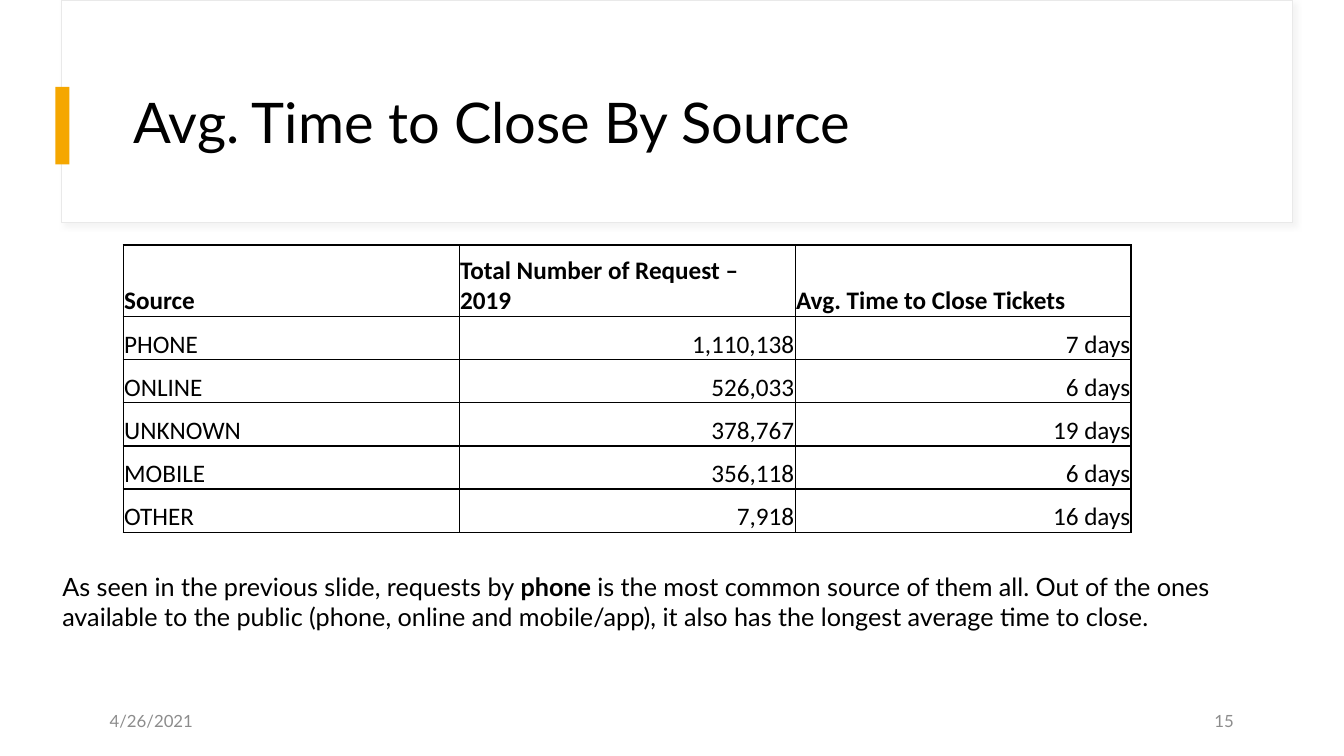
from dataclasses import dataclass

from lxml import etree
from pptx import Presentation
from pptx import util as u
from pptx.dml.color import RGBColor
from pptx.enum import shapes, text
from pptx.oxml import parse_xml
from pptx.oxml.ns import nsdecls, qn

Pt = u.Pt


@dataclass(frozen=True)
class Theme:
    ink: str = "000000"
    paper: str = "FFFFFF"
    accent: str = "F5A700"
    panel_line: str = "E9E9E9"
    panel_shadow: str = "D9D9D9"
    muted: str = "8C8C8C"
    font: str = "Lato"
    table_font: str = "Calibri"
    title_size: int = 40
    body_size: int = 18
    footer_size: int = 12


THEME = Theme()
LEFT, RIGHT = text.PP_ALIGN.LEFT, text.PP_ALIGN.RIGHT
TOP, MIDDLE, BOTTOM = (text.MSO_ANCHOR.TOP, text.MSO_ANCHOR.MIDDLE,
                       text.MSO_ANCHOR.BOTTOM)

TICKETS = [
    ("Source", "Total Number of Request – 2019", "Avg. Time to Close Tickets"),
    ("PHONE", "1,110,138", "7 days"),
    ("ONLINE", "526,033", "6 days"),
    ("UNKNOWN", "378,767", "19 days"),
    ("MOBILE", "356,118", "6 days"),
    ("OTHER", "7,918", "16 days"),
]
FINDING = [
    ("As seen in the previous slide, requests by ", False),
    ("phone ", True),
    ("is the most common source of them all. Out of the ones available to the "
     "public (phone, online and mobile/app), it also has the longest average "
     "time to close.", False),
]


def write(frame, runs, size, color=THEME.ink, font=THEME.font, align=LEFT):
    """Fill the first paragraph with (wording, bold) runs."""
    paragraph = frame.paragraphs[0]
    paragraph.alignment = align
    for wording, bold in runs:
        run = paragraph.add_run()
        run.text = wording
        run.font.name = font
        run.font.size = Pt(size)
        run.font.bold = bold
        run.font.color.rgb = RGBColor.from_string(color)
    return paragraph


def add_block(slide, box, fill, line=None):
    block = slide.shapes.add_shape(shapes.MSO_SHAPE.RECTANGLE, *map(Pt, box))
    block.shadow.inherit = False
    block.fill.solid()
    block.fill.fore_color.rgb = RGBColor.from_string(fill)
    if line:
        block.line.color.rgb = RGBColor.from_string(line)
        block.line.width = Pt(0.75)
    else:
        block.line.fill.background()
    return block


def add_soft_shadow(block):
    effects = block.element.spPr.find(qn("a:effectLst"))
    effects.append(parse_xml(
        f'<a:outerShdw {nsdecls("a")} blurRad="{Pt(4)}" dist="{Pt(3)}" '
        f'dir="2700000" algn="tl" rotWithShape="0">'
        f'<a:srgbClr val="{THEME.panel_shadow}"><a:alpha val="30000"/>'
        f'</a:srgbClr></a:outerShdw>'))


def set_title(slide, wording, box):
    title = slide.shapes.title
    title.left, title.top, title.width, title.height = map(Pt, box)
    frame = title.text_frame
    frame.word_wrap = True
    frame.auto_size = text.MSO_AUTO_SIZE.NONE
    frame.vertical_anchor = MIDDLE
    write(frame, [(wording, False)], THEME.title_size).line_spacing = 0.9
    # Bring the title in front of the header panel
    title.element.getparent().append(title.element)


def add_text(slide, box, runs, size, color=THEME.ink, align=LEFT, anchor=TOP):
    frame = slide.shapes.add_textbox(*map(Pt, box)).text_frame
    frame.word_wrap = True
    frame.vertical_anchor = anchor
    write(frame, runs, size, color, align=align)


def add_borders(cell):
    properties = cell._tc.get_or_add_tcPr()
    for side in ("lnL", "lnR", "lnT", "lnB"):
        border = etree.SubElement(properties, qn(f"a:{side}"), w=str(Pt(1)))
        fill = etree.SubElement(border, qn("a:solidFill"))
        etree.SubElement(fill, qn("a:srgbClr"), val=THEME.ink)


def add_ticket_table(slide, left, top, column_width, header_height, row_height):
    rows, columns = len(TICKETS), len(TICKETS[0])
    height = header_height + (rows - 1) * row_height
    table = slide.shapes.add_table(rows, columns, Pt(left), Pt(top),
                                   Pt(columns * column_width), Pt(height)).table
    table.first_row = table.horz_banding = False
    for column in table.columns:
        column.width = Pt(column_width)
    for r, record in enumerate(TICKETS):
        is_header = r == 0
        table.rows[r].height = Pt(header_height if is_header else row_height)
        for c, wording in enumerate(record):
            cell = table.cell(r, c)
            add_borders(cell)
            cell.fill.background()
            cell.margin_left = cell.margin_right = cell.margin_top = Pt(0.7)
            cell.margin_bottom = 0
            cell.vertical_anchor = BOTTOM
            write(cell.text_frame, [(wording, is_header)], THEME.body_size,
                  font=THEME.table_font,
                  align=LEFT if is_header or c == 0 else RIGHT)


def main():
    deck = Presentation()
    deck.slide_width, deck.slide_height = Pt(960), Pt(540)
    slide = deck.slides.add_slide(deck.slide_layouts[5])

    # Header panel, accent bar and title
    panel = add_block(slide, (44, 0, 879, 159), THEME.paper, THEME.panel_line)
    add_soft_shadow(panel)
    add_block(slide, (39.6, 62, 10, 55.5), THEME.accent)
    set_title(slide, "Avg. Time to Close By Source", (88, 43.2, 800, 93))

    # Ticket figures and the finding below them
    add_ticket_table(slide, 88, 175, 240, 51.2, 30.8)
    add_text(slide, (37.4, 404.6, 851, 72.7), FINDING, THEME.body_size)

    # Footer
    for left, wording, align in ((71.3, "4/26/2021", LEFT), (672.5, "15", RIGHT)):
        add_text(slide, (left, 500.4, 216, 28.8), [(wording, False)],
                 THEME.footer_size, THEME.muted, align, MIDDLE)

    deck.save("out.pptx")


main()
